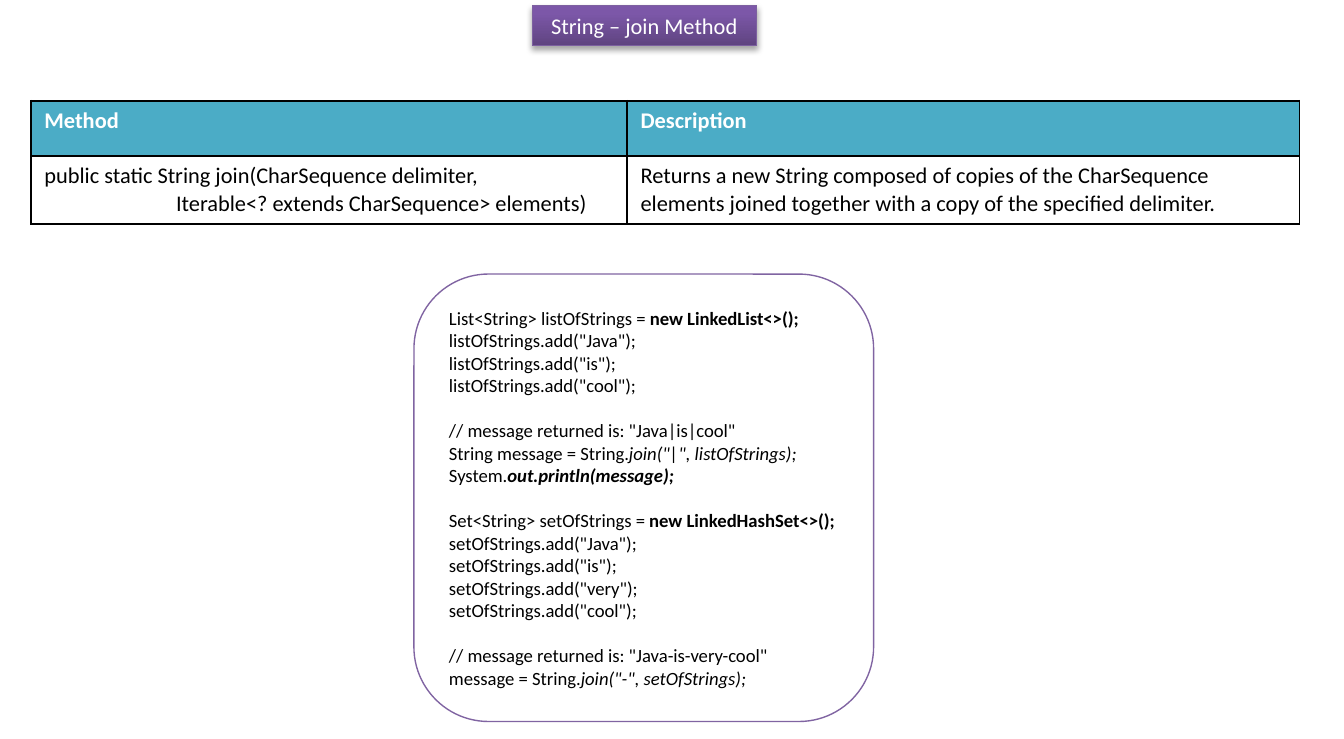
from dataclasses import dataclass

import lxml.etree
import pptx
import pptx.dml.color
import pptx.enum.shapes
import pptx.enum.text
import pptx.oxml
import pptx.oxml.ns
import pptx.util

COLUMNS, ROWS = 100, 55

HEADER = ["Method", "Description"]
SIGNATURE = [
    "public static String join(CharSequence delimiter,",
    "Iterable<? extends CharSequence> elements)",
]
DESCRIPTION = [
    "Returns a new String composed of copies of the CharSequence "
    "elements joined together with a copy of the specified delimiter."
]
CODE_BLOCKS = [
    [
        [("List<String> listOfStrings = ", ""), ("new LinkedList<>();", "b")],
        [('listOfStrings.add("Java");', "")],
        [('listOfStrings.add("is");', "")],
        [('listOfStrings.add("cool");', "")],
    ],
    [
        [('// message returned is: "Java|is|cool"', "")],
        [("String message = String.", ""), ('join("|", listOfStrings);', "i")],
        [("System.", ""), ("out.println(message);", "bi")],
    ],
    [
        [("Set<String> setOfStrings = ", ""), ("new LinkedHashSet<>();", "b")],
        [('setOfStrings.add("Java");', "")],
        [('setOfStrings.add("is");', "")],
        [('setOfStrings.add("very");', "")],
        [('setOfStrings.add("cool");', "")],
    ],
    [
        [('// message returned is: "Java-is-very-cool"', "")],
        [("message = String.", ""), ('join("-", setOfStrings);', "i")],
    ],
]


@dataclass(frozen=True)
class Theme:
    """Colours, type sizes and line widths of the slide."""

    font: str = "Calibri"
    text_size: float = 12
    code_size: float = 10
    code_gap: float = 12.2
    hairline: float = 0.75
    black: str = "000000"
    white: str = "FFFFFF"
    header: str = "4BACC6"
    title_dark: str = "5F4480"
    title_light: str = "7C57A8"
    title_line: str = "7D60A0"
    code_line: str = "8064A2"


THEME = Theme()


def rgb(value):
    """Return a colour object for a hex value."""
    return pptx.dml.color.RGBColor.from_string(value)


def grid_box(prs, left, top, width, height):
    """Turn grid columns and rows into slide lengths."""
    col, row = prs.slide_width / COLUMNS, prs.slide_height / ROWS
    return [round(n) for n in (left * col, top * row, width * col, height * row)]


def style_font(p, size, color, bold=None):
    """Set the font shared by a paragraph's runs."""
    p.font.name = THEME.font
    p.font.size = pptx.util.Pt(size)
    p.font.color.rgb = rgb(color)
    p.font.bold = bold


def set_line(sp, color):
    """Give a shape a thin outline."""
    sp.line.color.rgb = rgb(color)
    sp.line.width = pptx.util.Pt(THEME.hairline)


def add_shadow(sp):
    """Cast a soft shadow below a shape."""
    sp._element.spPr.append(pptx.oxml.parse_xml(
        f'<a:effectLst {pptx.oxml.ns.nsdecls("a")}>'
        '<a:outerShdw blurRad="40000" dist="23000" dir="5400000" rotWithShape="0">'
        f'<a:srgbClr val="{THEME.black}"><a:alpha val="35000"/></a:srgbClr>'
        '</a:outerShdw></a:effectLst>'))


def set_borders(cell):
    """Draw a one-point border on all sides of a cell."""
    tc_pr = cell._tc.get_or_add_tcPr()
    for side in ("lnL", "lnR", "lnT", "lnB"):
        tc_pr.append(pptx.oxml.parse_xml(
            f'<a:{side} {pptx.oxml.ns.nsdecls("a")} w="12700"><a:solidFill>'
            f'<a:srgbClr val="{THEME.black}"/></a:solidFill></a:{side}>'))


def place_title(slide, box):
    """Place the title banner in its box."""
    sp = slide.shapes.title
    sp.left, sp.top, sp.width, sp.height = box
    sp.fill.gradient()
    sp.fill.gradient_angle = 90
    colors = (THEME.title_dark, THEME.title_light)
    for stop, color, position in zip(sp.fill.gradient_stops, colors, (0, 0.8)):
        stop.color.rgb = rgb(color)
        stop.position = position
    set_line(sp, THEME.title_line)
    add_shadow(sp)
    tf = sp.text_frame
    tf.text = "String – join Method"
    tf.auto_size = pptx.enum.text.MSO_AUTO_SIZE.NONE
    tf.word_wrap = False
    p = tf.paragraphs[0]
    p.alignment = pptx.enum.text.PP_ALIGN.CENTER
    style_font(p, THEME.text_size, THEME.white)


def place_table(slide, box):
    """Place the method table in its box."""
    table = slide.shapes.add_table(2, 2, *box).table
    width, height = box[2:]
    for column, share in zip(table.columns, (0.47, 0.53)):
        column.width = round(width * share)
    for row, share in zip(table.rows, (0.45, 0.55)):
        row.height = round(height * share)
    rows = [[[label] for label in HEADER], [SIGNATURE, DESCRIPTION]]
    styles = [(THEME.header, THEME.white, True), (THEME.white, THEME.black, False)]
    for row, texts, (fill, color, bold) in zip(table.rows, rows, styles):
        for cell, lines in zip(row.cells, texts):
            set_borders(cell)
            cell.fill.solid()
            cell.fill.fore_color.rgb = rgb(fill)
            cell.text = "\n".join(lines)
            for p in cell.text_frame.paragraphs:
                style_font(p, THEME.text_size, color, bold)
    continuation = table.cell(1, 0).text_frame.paragraphs[1]
    continuation._p.get_or_add_pPr().set("marL", str(pptx.util.Inches(0.98)))


def place_code(slide, box):
    """Place the rounded code panel in its box."""
    sp = slide.shapes.add_shape(
        pptx.enum.shapes.MSO_SHAPE.ROUNDED_RECTANGLE, *box)
    sp.shadow.inherit = False
    sp.fill.solid()
    sp.fill.fore_color.rgb = rgb(THEME.white)
    set_line(sp, THEME.code_line)
    tf = sp.text_frame
    tf.word_wrap = True
    tf.vertical_anchor = pptx.enum.text.MSO_ANCHOR.MIDDLE
    for b, block in enumerate(CODE_BLOCKS):
        for n, line in enumerate(block):
            p = tf.add_paragraph() if b or n else tf.paragraphs[0]
            p.alignment = pptx.enum.text.PP_ALIGN.LEFT
            if b and not n:
                p.space_before = pptx.util.Pt(THEME.code_gap)
            style_font(p, THEME.code_size, THEME.black)
            for text, style in line:
                r = p.add_run()
                r.text = text
                r.font.bold = "b" in style
                r.font.italic = "i" in style


def main():
    """Build the slide and save it."""
    prs = pptx.Presentation()
    prs.slide_width = pptx.util.Inches(10)
    prs.slide_height = pptx.util.Inches(5.5)
    slide = prs.slides.add_slide(prs.slide_layouts.get_by_name("Title Only"))
    place_title(slide, grid_box(prs, 39.6, 0.4, 16.7, 3))
    place_table(slide, grid_box(prs, 2.3, 7.5, 94.4, 9.1))
    place_code(slide, grid_box(prs, 30.8, 20.4, 34.2, 33.3))
    prs.save("out.pptx")


if __name__ == "__main__":
    main()
